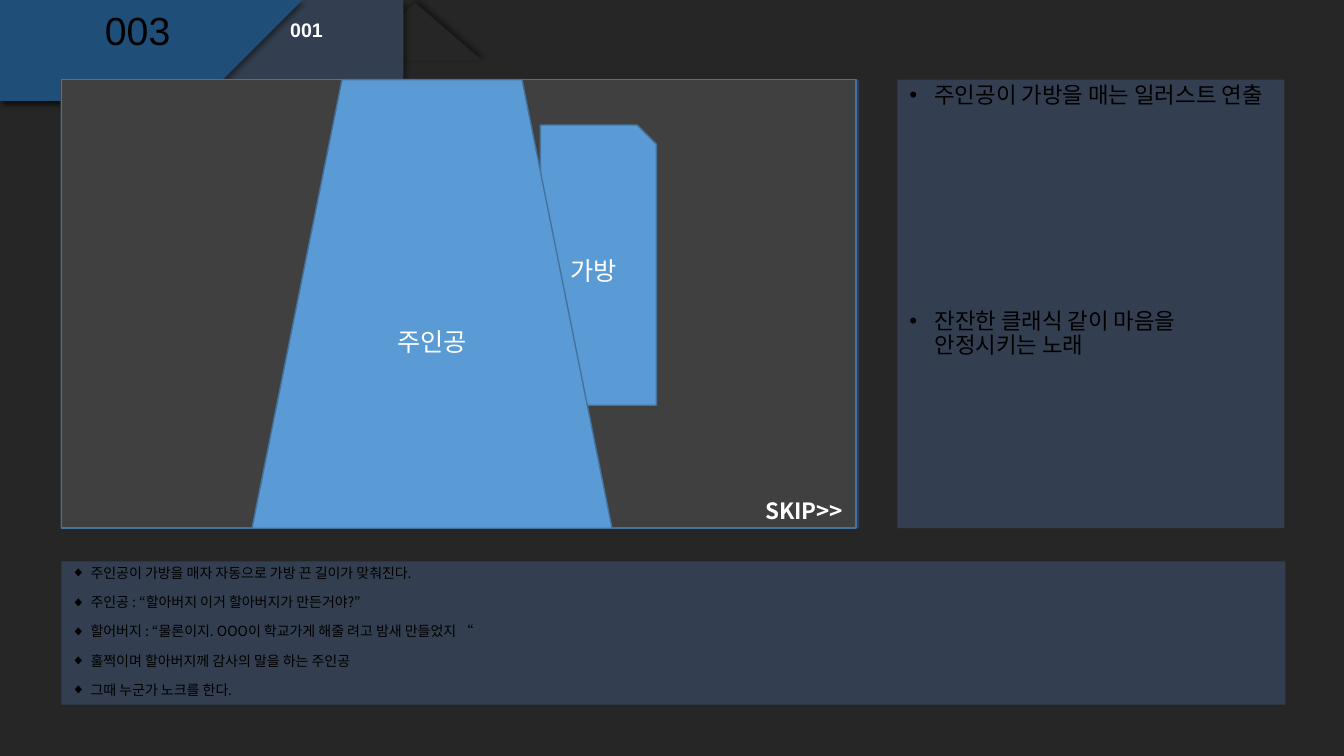
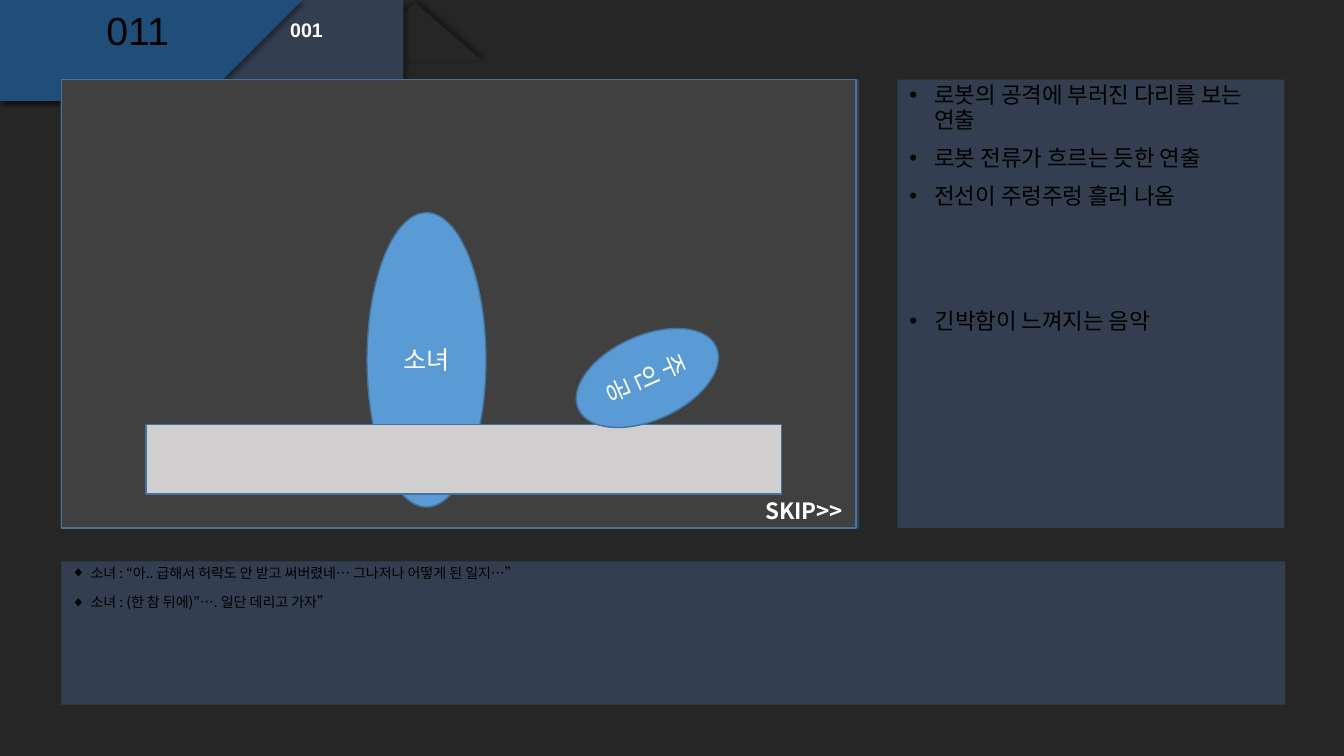
from lxml.etree import SubElement
from pptx import Presentation
from pptx.dml.color import RGBColor
from pptx.enum.shapes import MSO_SHAPE as Shape
from pptx.enum.text import MSO_ANCHOR as Anchor, PP_ALIGN as Align
from pptx.oxml.ns import qn
from pptx.util import Inches, Pt

COLORS = {
    "page": "262626", "panel": "333F50", "tab": "1F4E79", "stage": "404040",
    "figure": "5B9BD5", "outline": "43739E", "desk": "D0CECE",
    "dark": "000000", "light": "FFFFFF",
}
SANS, KOREAN = "Arial", "Noto Sans CJK KR"
FORMATS = {
    "scene": {"name": SANS, "size": Pt(28), "color": "dark"},
    "cut": {"name": SANS, "size": Pt(14), "color": "light", "bold": True},
    "direction": {"name": KOREAN, "size": Pt(16), "color": "dark"},
    "script": {"name": KOREAN, "size": Pt(10), "color": "dark"},
    "skip": {"name": KOREAN, "size": Pt(16), "color": "light", "bold": True},
    "figure": {"name": KOREAN, "size": Pt(18), "color": "light"},
}
BULLETS = {"direction": ("•", 0.25), "script": ("◆", 0.19)}
TOP, STAGE_HEIGHT = 0.79, 4.45
PANELS = [
    (0.6, TOP, 7.92, STAGE_HEIGHT),
    (8.9, TOP, 3.84, STAGE_HEIGHT),
    (0.61, 5.57, 12.14, 1.42),
]


class Storyboard:
    def __init__(self):
        self.deck = Presentation()
        self.deck.slide_width, self.deck.slide_height = Inches(13.33), Inches(7.5)
        self.page = None

    def paint(self, shape, fill, line=None):
        shape.shadow.inherit = False
        shape.fill.solid()
        shape.fill.fore_color.rgb = RGBColor.from_string(COLORS[fill])
        if line:
            shape.line.color.rgb = RGBColor.from_string(COLORS[line])
            shape.line.width = Pt(1)
        else:
            shape.line.fill.background()

    def cast_shadow(self, shape, angle):
        effects = shape._element.spPr.find(qn("a:effectLst"))
        shadow = SubElement(effects, qn("a:outerShdw"), blurRad=str(Pt(4)), dist=str(Pt(3)),
                            dir=str(angle * 60000), algn="ctr", rotWithShape="0")
        color = SubElement(shadow, qn("a:srgbClr"), val=COLORS["dark"])
        SubElement(color, qn("a:alpha"), val="40000")

    def bullet(self, para, mark, indent):
        props = para._p.get_or_add_pPr()
        props.set("marL", str(Inches(indent)))
        props.set("indent", str(-Inches(indent)))
        SubElement(props, qn("a:buFont"), typeface=SANS)
        SubElement(props, qn("a:buChar"), char=mark)

    def add_span(self, para, text, style):
        span = para.add_run()
        span.text = text
        for name, value in FORMATS[style].items():
            if name == "color":
                span.font.color.rgb = RGBColor.from_string(COLORS[value])
            else:
                setattr(span.font, name, value)
        SubElement(span._r.get_or_add_rPr(), qn("a:ea"), typeface=FORMATS[style]["name"])

    def text(self, place, lines, style, wrap=True, align=None, anchor=Anchor.TOP):
        box = self.page.shapes.add_textbox(*map(Inches, place))
        frame = box.text_frame
        frame.word_wrap, frame.vertical_anchor = wrap, anchor
        for index, line in enumerate(lines):
            para = frame.add_paragraph() if index else frame.paragraphs[0]
            if style != "skip":
                para.line_spacing = 0.9
            if index:
                para.space_before = Pt(10)
            if align is not None:
                para.alignment = align
            if style in BULLETS:
                self.bullet(para, *BULLETS[style])
            self.add_span(para, line, style)

    def shape(self, kind, place, fill, line=None, label=None, rotation=0):
        shape = self.page.shapes.add_shape(kind, *map(Inches, place))
        self.paint(shape, fill, line)
        shape.rotation = rotation
        if label:
            shape.text_frame.vertical_anchor = Anchor.MIDDLE
            para = shape.text_frame.paragraphs[0]
            para.alignment = Align.CENTER
            self.add_span(para, label, "figure")
        return shape

    def figure(self, kind, place, label, rotation=0):
        self.shape(kind, place, "figure", "outline", label, rotation)

    def tab(self, left, right, slant, fill):
        """Draw a header tab whose right edge slopes inwards by slant."""
        outline = self.page.shapes.build_freeform(left, 0, scale=Inches(1))
        outline.add_line_segments(
            [(right, 0), (right - slant, 0.57), (0.9, 0.56), (left, 0.56)], close=True)
        shape = outline.convert_to_shape()
        self.paint(shape, fill)
        self.cast_shadow(shape, 45)

    def start(self, scene, directions, music, script):
        """Add a page with its header, panels, notes and empty stage."""
        self.page = self.deck.slides.add_slide(self.deck.slide_layouts[6])
        background = self.page.background.fill
        background.solid()
        background.fore_color.rgb = RGBColor.from_string(COLORS["page"])
        fold = self.shape(Shape.ISOSCELES_TRIANGLE, (3.46, 0.03, 1.32, 0.57), "page")
        self.cast_shadow(fold, 315)
        self.tab(0.05, 4.12, 0.48, "panel")
        self.tab(0, 2.73, 0.32, "tab")
        for place in PANELS:
            self.shape(Shape.RECTANGLE, place, "panel")
        self.text((2.78, 0.15, 1, 0.32), ["001"], "cut")
        self.text((0.61, 0.06, 1.51, 0.53), [scene], "scene",
                  align=Align.CENTER, anchor=Anchor.MIDDLE)
        self.text((8.92, 3.03, 3.85, 2.21), [music], "direction")
        self.text((8.92, TOP, 3.84, 2.21), directions, "direction")
        self.text((0.61, 5.57, 6.06, 1.42), script, "script")
        self.shape(Shape.RECTANGLE, (0.61, TOP, 7.88, STAGE_HEIGHT), "stage", "outline")
        self.text((7.49, 4.88, 1, 0.37), ["SKIP>>"], "skip", wrap=False)


def main():
    board = Storyboard()

    board.start(
        "003",
        ["주인공이 가방을 매는 일러스트 연출"],
        "잔잔한 클래식 같이 마음을 안정시키는 노래",
        [
            "주인공이 가방을 매자 자동으로 가방 끈 길이가 맞춰진다.",
            "주인공 : “할아버지 이거 할아버지가 만든거야?”",
            "할어버지 : “물론이지. OOO이 학교가게 해줄 려고 밤새 만들었지 “",
            "훌쩍이며 할아버지께 감사의 말을 하는 주인공",
            "그때 누군가 노크를 한다.",
        ],
    )
    board.figure(Shape.SNIP_1_RECTANGLE, (5.36, 1.24, 1.15, 2.78), "가방")
    board.figure(Shape.TRAPEZOID, (2.5, TOP, 3.57, STAGE_HEIGHT), "주인공")

    board.start(
        "011",
        [
            "로봇의 공격에 부러진 다리를 보는 연출",
            "로봇 전류가 흐르는 듯한 연출",
            "전선이 주렁주렁 흘러 나옴",
        ],
        "긴박함이 느껴지는 음악",
        [
            "소녀 : “아.. 급해서 허락도 안 받고 써버렸네… 그나저나 어떻게 된 일지…”",
            "소녀 : (한 참 뒤에)”…. 일단 데리고 가자”",
        ],
    )
    board.figure(Shape.OVAL, (3.64, 2.11, 1.18, 2.92), "소녀")
    board.shape(Shape.RECTANGLE, (1.45, 4.21, 6.3, 0.69), "desk", "outline")
    board.figure(Shape.OVAL, (6, 3, 0.84, 1.5), "주인공", rotation=65.8)

    board.deck.save("out.pptx")


if __name__ == "__main__":
    main()
